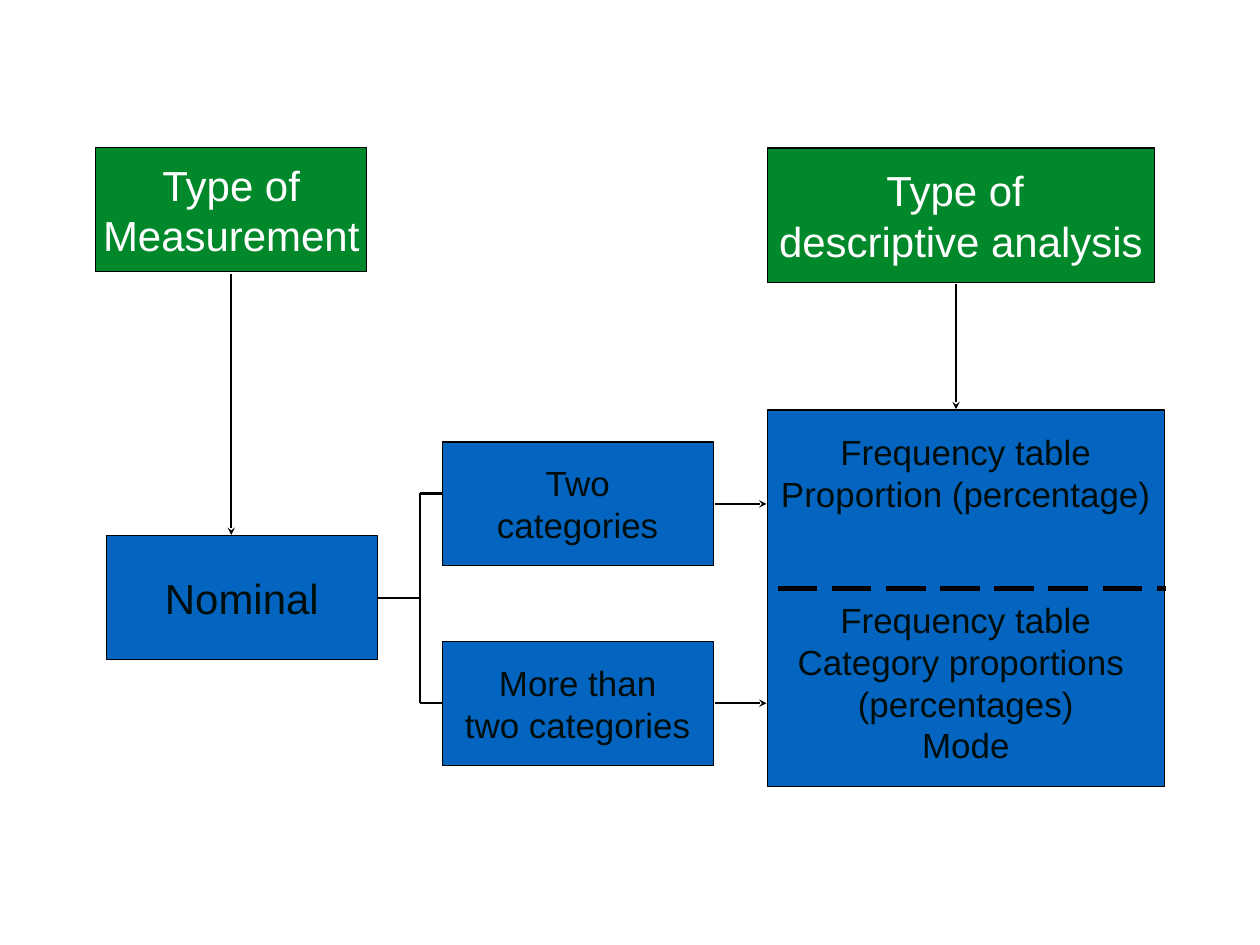
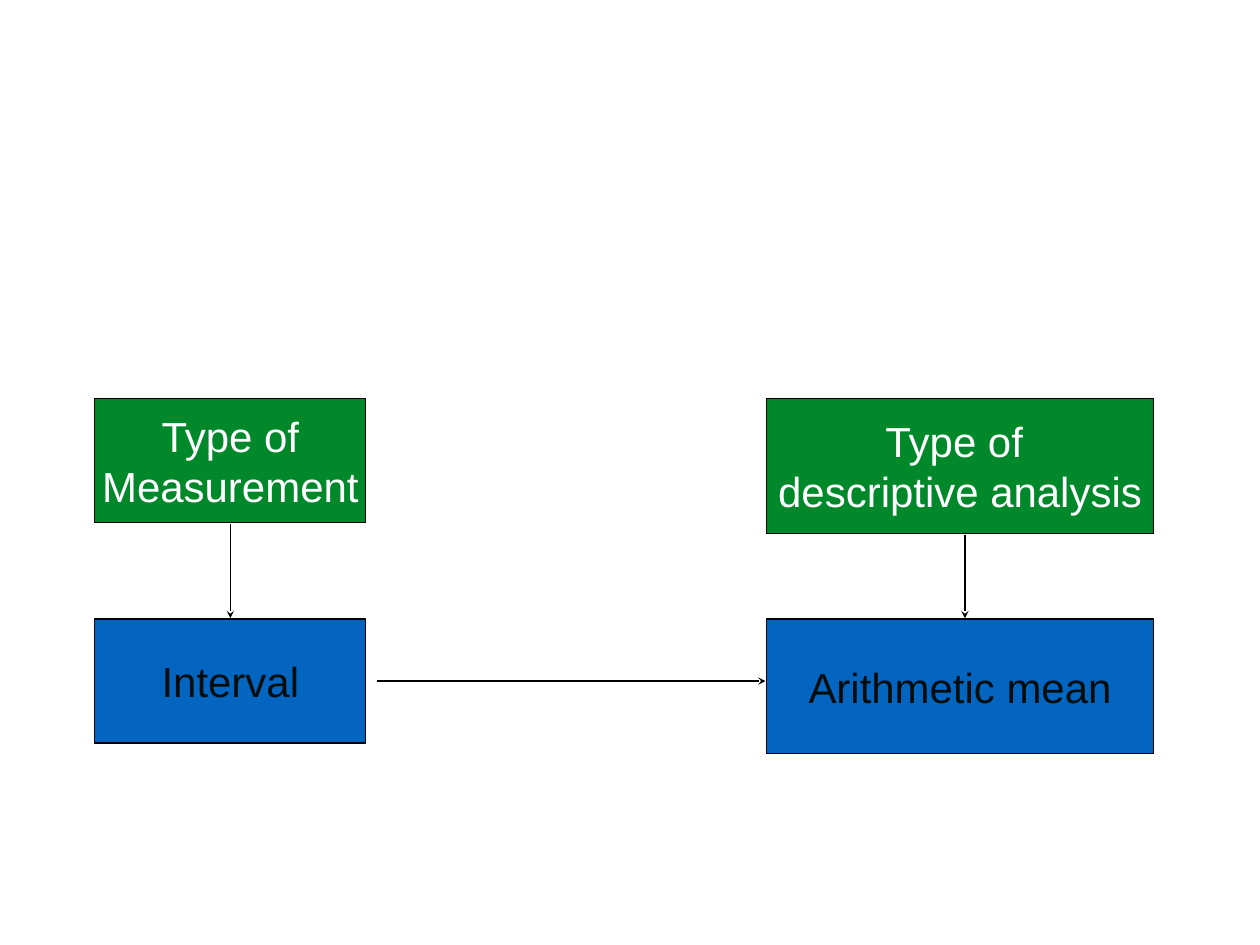
"""Build two flow slides matching measurement types with descriptive analyses."""
from lxml import etree
from pptx import Presentation
from pptx.dml.color import RGBColor
from pptx.enum.dml import MSO_LINE
from pptx.enum.shapes import MSO_CONNECTOR, MSO_SHAPE
from pptx.enum.text import MSO_ANCHOR, PP_ALIGN
from pptx.oxml.ns import qn
from pptx.util import Inches, Pt

GREEN = RGBColor(0x00, 0x88, 0x2B)
BLUE = RGBColor(0x03, 0x65, 0xC0)
BLACK = RGBColor(0x00, 0x00, 0x00)
WHITE = RGBColor(0xFF, 0xFF, 0xFF)
INK = RGBColor(0x00, 0x0D, 0x0D)

FONT = "Arial"
LARGE, SMALL = 34.1, 28.4
LINE_FACTOR = 1.2
GAP = 0.02
NARROW = (3.06, 1.4)
WIDE = (4.37, 1.52)

MEASUREMENT = ["Type of", "Measurement"]
ANALYSIS = ["Type of ", "descriptive analysis"]
TWO_CATEGORIES = ["Two", "categories"]
MORE_CATEGORIES = ["More than", "two categories"]
NOMINAL_RESULTS = [
    ["Frequency table", "Proportion (percentage)"],
    ["Frequency table", "Category proportions ", "(percentages)", "Mode"],
]


def add_box(slide, left, top, size, groups, text_size=LARGE, fill=BLUE, ink=INK):
    """Add a bordered box with groups of centred lines, two lines apart."""
    shape = slide.shapes.add_shape(
        MSO_SHAPE.RECTANGLE, *(Inches(value) for value in (left, top, *size)))
    shape.shadow.inherit = False
    shape.fill.solid()
    shape.fill.fore_color.rgb = fill
    shape.line.color.rgb = BLACK
    shape.line.width = Pt(1)
    frame = shape.text_frame
    frame.word_wrap = False
    frame.vertical_anchor = MSO_ANCHOR.MIDDLE
    frame.margin_left = frame.margin_right = Inches(0.14)
    frame.margin_top = frame.margin_bottom = Inches(0.07)
    frame.text = "\n".join(line for group in groups for line in group)
    pitch = text_size * LINE_FACTOR
    for paragraph in frame.paragraphs:
        paragraph.alignment = PP_ALIGN.CENTER
        paragraph.line_spacing = Pt(pitch)
        for run in paragraph.runs:
            run.font.name = FONT
            run.font.size = Pt(text_size)
            run.font.color.rgb = ink
    start = 0
    for group in groups[:-1]:
        start += len(group)
        frame.paragraphs[start].space_before = Pt(2 * pitch)
    return shape


def add_line(slide, start, end, width=2, arrow=False, dash=None):
    """Add a straight black line, with an arrowhead at its end if asked."""
    line = slide.shapes.add_connector(
        MSO_CONNECTOR.STRAIGHT, *(Inches(value) for value in (*start, *end)))
    line.line.color.rgb = BLACK
    line.line.width = Pt(width)
    if dash:
        line.line.dash_style = dash
    properties = line._element.spPr
    if arrow:
        tail = etree.SubElement(properties.find(qn("a:ln")), qn("a:tailEnd"))
        tail.set("type", "stealth")
    etree.SubElement(properties, qn("a:effectLst"))


def add_headings(slide, left, right, top):
    """Add the two green column headings."""
    for x, size, lines in ((left, NARROW, MEASUREMENT), (right, WIDE, ANALYSIS)):
        add_box(slide, x, top, size, [lines], fill=GREEN, ink=WHITE)


def add_down_arrow(slide, x, heading_bottom, box_top, width):
    """Join a heading to the box below it."""
    add_line(slide, (x, heading_bottom + GAP), (x, box_top - GAP / 2),
             width, arrow=True)


def build_nominal(slide):
    """Draw the branching flow for nominal data."""
    left, right, top = 1.08, 8.66, 1.67
    nominal_left, nominal_top = 1.2, 6.05
    branch_left, results_top, trunk = 4.99, 4.63, 4.74
    branches = [(4.99, 5.57, 5.69, TWO_CATEGORIES),
                (7.24, 7.94, 7.94, MORE_CATEGORIES)]

    add_headings(slide, left, right, top)
    add_box(slide, nominal_left, nominal_top, NARROW, [["Nominal"]])
    add_box(slide, right, results_top, (4.48, 4.25), NOMINAL_RESULTS, SMALL)
    add_line(slide, (8.78, 6.64), (13.16, 6.64), 4, dash=MSO_LINE.LONG_DASH)

    middle = nominal_top + NARROW[1] / 2
    add_line(slide, (nominal_left + NARROW[0] + GAP / 2, middle), (trunk, middle))
    add_line(slide, (trunk, branches[0][1]), (trunk, branches[1][1]))
    for branch_top, entry, outlet, lines in branches:
        add_box(slide, branch_left, branch_top, NARROW, [lines], SMALL)
        add_line(slide, (trunk, entry), (branch_left, entry))
        add_line(slide, (branch_left + NARROW[0] + GAP, outlet),
                 (right - GAP / 2, outlet), arrow=True)

    add_down_arrow(slide, left + NARROW[0] / 2, top + NARROW[1], nominal_top, 2)
    add_down_arrow(slide, 10.79, top + WIDE[1], results_top, 2)


def build_interval(slide):
    """Draw the direct flow for interval data."""
    left, right, top, box_top = 1.07, 8.65, 4.5, 6.99
    add_headings(slide, left, right, top)
    add_box(slide, left, box_top, NARROW, [["Interval"]])
    add_box(slide, right, box_top, WIDE, [["Arithmetic mean"]])
    middle = box_top + NARROW[1] / 2
    add_line(slide, (4.26, middle), (right - GAP / 2, middle), arrow=True)
    add_down_arrow(slide, left + NARROW[0] / 2, top + NARROW[1], box_top, 1)
    add_down_arrow(slide, 10.89, top + WIDE[1], box_top, 1)


def main():
    """Build and save the presentation."""
    presentation = Presentation()
    presentation.slide_width = Inches(14.22)
    presentation.slide_height = Inches(10.67)
    blank = presentation.slide_layouts[6]
    for build in (build_nominal, build_interval):
        slide = presentation.slides.add_slide(blank)
        slide.background.fill.solid()
        slide.background.fill.fore_color.rgb = WHITE
        build(slide)
    presentation.save("out.pptx")


if __name__ == "__main__":
    main()
